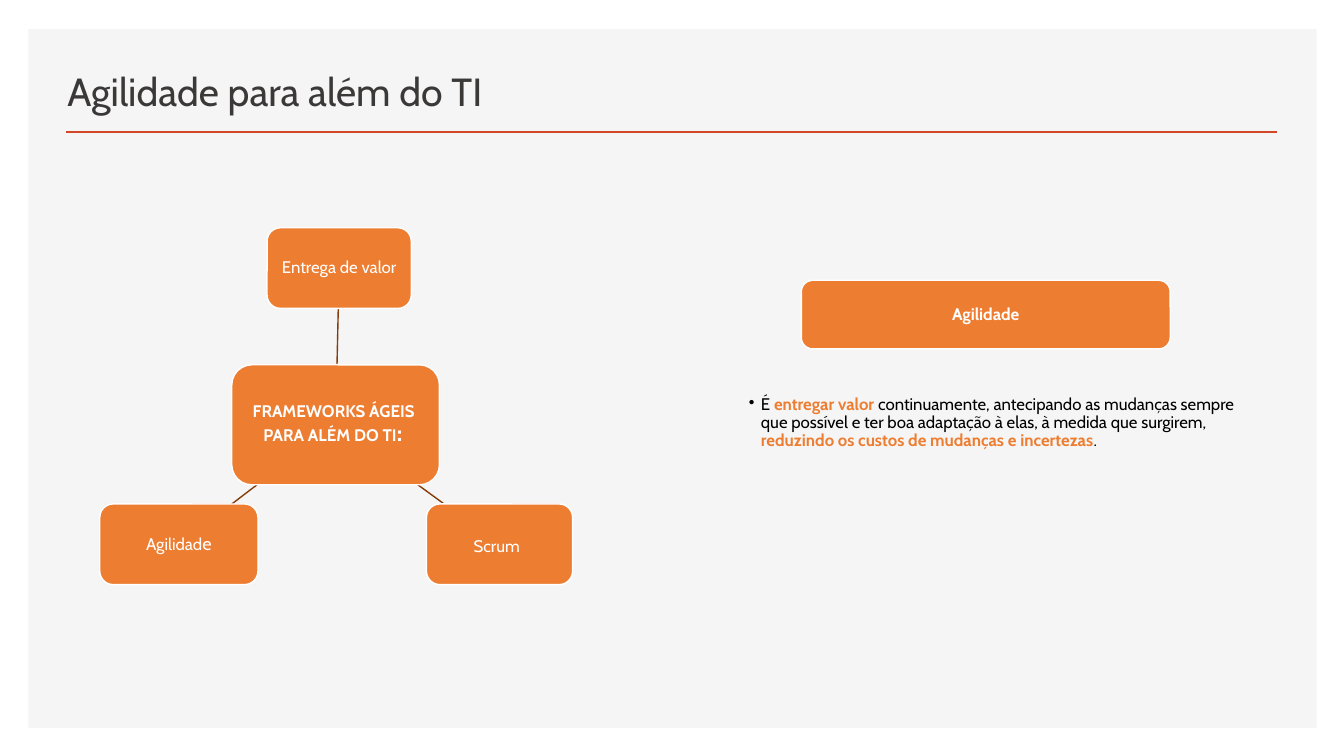
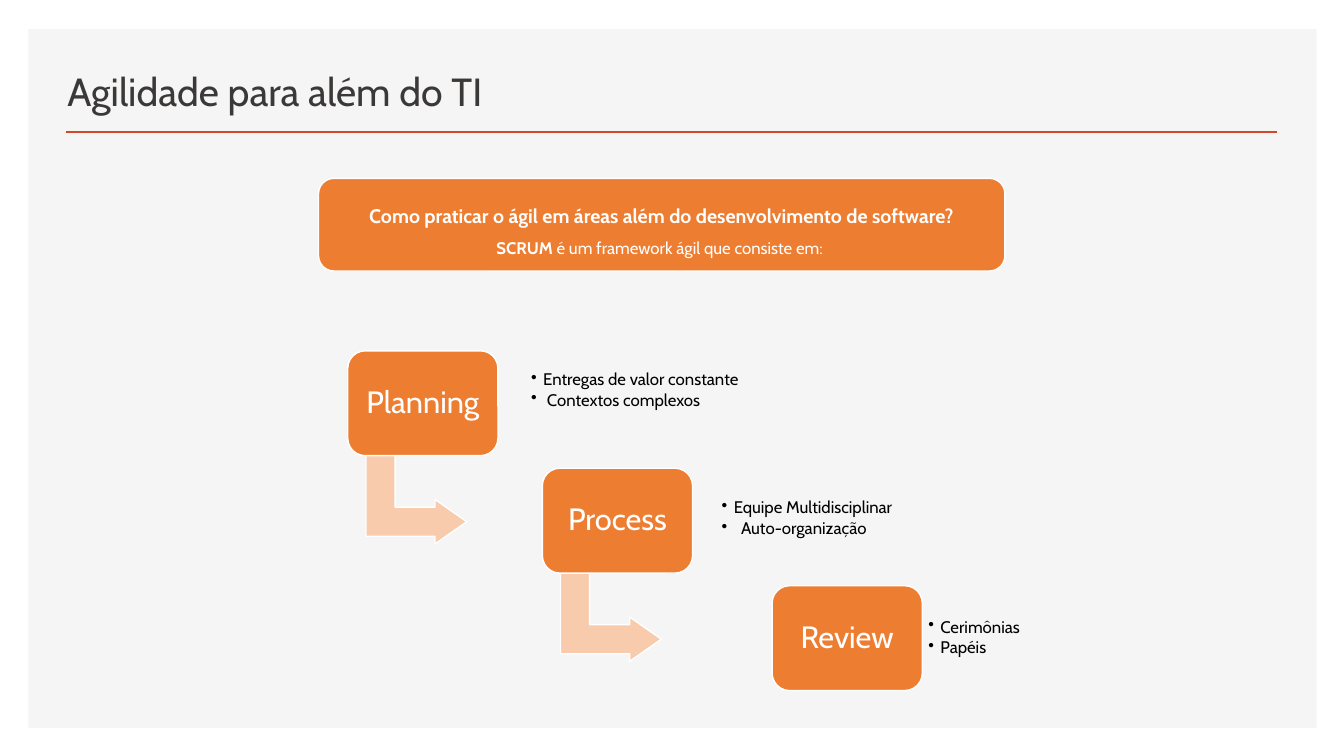
from lxml import etree
from pptx import Presentation
from pptx.dml.color import RGBColor
from pptx.enum.shapes import MSO_CONNECTOR, MSO_SHAPE
from pptx.enum.text import MSO_ANCHOR, PP_ALIGN
from pptx.oxml.ns import qn
from pptx.util import Pt

RECT, ROUNDED = MSO_SHAPE.RECTANGLE, MSO_SHAPE.ROUNDED_RECTANGLE
BENT_ARROW = MSO_SHAPE.BENT_UP_ARROW
STRAIGHT = MSO_CONNECTOR.STRAIGHT
TOP, MIDDLE, BOTTOM = MSO_ANCHOR.TOP, MSO_ANCHOR.MIDDLE, MSO_ANCHOR.BOTTOM
LEFT, CENTER = PP_ALIGN.LEFT, PP_ALIGN.CENTER

FONT = "Cabin"
WHITE, BLACK, PANEL = "FFFFFF", "000000", "F5F5F5"
ORANGE, PEACH, RULE, BROWN, TITLE = "ED7D31", "F8CBAD", "D24726", "843C0B", "3B3838"
TITLE_BOX = (41, 35.3, 541.5, 50.4)
BULLET_INDENT = 8.64


def rgb(color):
    """Turn a hex string into a colour."""
    return RGBColor.from_string(color)


def lengths(box):
    """Turn a box in points into lengths."""
    return [Pt(value) for value in box]


def style_font(font, size=None, color=None, bold=None):
    """Set the given font properties only."""
    if size:
        font.size = Pt(size)
    if color:
        font.color.rgb = rgb(color)
    if bold is not None:
        font.bold = bold


def write(paragraph, runs, size, color, bold=False, align=LEFT, spacing=0.9, after=0):
    """Fill a paragraph with (text, overrides) runs; a newline breaks the line."""
    paragraph.font.name = FONT
    style_font(paragraph.font, size, color, bold)
    paragraph.alignment = align
    paragraph.line_spacing = spacing
    paragraph.space_after = Pt(after)
    for text, overrides in runs:
        if text == "\n":
            paragraph.add_line_break()
            continue
        run = paragraph.add_run()
        run.text = text
        style_font(run.font, **overrides)


def set_frame(frame, insets, anchor):
    """Set wrapping, insets (left, top, right, bottom) and anchor."""
    frame.word_wrap = True
    frame.vertical_anchor = anchor
    (frame.margin_left, frame.margin_top,
     frame.margin_right, frame.margin_bottom) = lengths(insets)


def add_block(shapes, kind, box, fill, outline=WHITE):
    """Add a flat filled shape, outlined unless outline is None."""
    block = shapes.add_shape(kind, *lengths(box))
    block.shadow.inherit = False
    block.fill.solid()
    block.fill.fore_color.rgb = rgb(fill)
    if outline:
        block.line.color.rgb = rgb(outline)
        block.line.width = Pt(1)
    else:
        block.line.fill.background()
    return block


def add_card(slide, box, runs, size=12, bold=False, spacing=0.9, inset=2.2):
    """Add an orange rounded card with centred white text."""
    card = add_block(slide.shapes, ROUNDED, box, ORANGE)
    set_frame(card.text_frame, [inset] * 4, MIDDLE)
    write(card.text_frame.paragraphs[0], runs, size, WHITE, bold, CENTER, spacing)


def add_line(shapes, start, end, color, width):
    """Add a straight line without a shadow."""
    line = shapes.add_connector(STRAIGHT, *lengths(start + end))
    line.line.color.rgb = rgb(color)
    line.line.width = Pt(width)
    properties = line.element.find(qn("p:spPr"))
    etree.SubElement(properties, qn("a:effectLst"))
    return line


def add_bullets(slide, box, items, insets, anchor, after):
    """Add a bulleted list of (runs, extra indent) items."""
    frame = slide.shapes.add_textbox(*lengths(box)).text_frame
    set_frame(frame, insets, anchor)
    for index, (runs, extra) in enumerate(items):
        paragraph = frame.add_paragraph() if index else frame.paragraphs[0]
        write(paragraph, runs, 12, BLACK, after=after)
        properties = paragraph._p.get_or_add_pPr()
        indent = Pt(BULLET_INDENT + extra)
        properties.set("marL", str(indent))
        properties.set("indent", str(-indent))
        bullet = etree.Element(qn("a:buChar"), char="•")
        properties.find(qn("a:defRPr")).addprevious(bullet)


def prepare_layout(layout, slide):
    """Put the panel and the title rule on the layout, behind its title."""
    panel = add_block(slide.shapes, RECT, (20.2, 20.9, 920.2, 499), PANEL, None)
    rule = add_line(slide.shapes, (47.5, 94.3), (912.2, 94.3), RULE, 2)
    for position, part in enumerate((panel, rule), start=2):
        layout.shapes.element.insert(position, part.element)


def add_title(slide, text):
    """Place and format the slide title."""
    title = slide.shapes.title
    title.left, title.top, title.width, title.height = lengths(TITLE_BOX)
    set_frame(title.text_frame, (7.2, 3.6, 7.2, 3.6), BOTTOM)
    write(title.text_frame.paragraphs[0], [(text, {})], 28, TITLE)


def center_of(box):
    """Return the centre of a box."""
    left, top, width, height = box
    return left + width / 2, top + height / 2


def add_spoke(slide, hub, node):
    """Join facing edges of hub and node along the line of their centres."""
    (hub_x, hub_y), (node_x, node_y) = center_of(hub), center_of(node)
    side = 1 if node_y > hub_y else -1

    def point_at(y):
        """Return the point of the centre line at height y."""
        return round(hub_x + (node_x - hub_x) * (y - hub_y) / (node_y - hub_y), 2), y

    add_line(slide.shapes, point_at(hub_y + side * hub[3] / 2),
             point_at(node_y - side * node[3] / 2), BROWN, 1)


def frameworks_diagram(slide, left, top):
    """Draw the hub and its three themes from the given corner."""
    hub = (left + 94.3, top + 97.9, 148.3, 85.7)
    themes = [
        ((left + 119.5, top, 103, 57.6), [("Entrega de valor", {})]),
        ((left + 233.3, top + 197.3, 104.4, 57.6),
         [("Scrum", {}), (" ", {"size": 18})]),
        ((left, top + 197.3, 113, 57.6), [("Agilidad", {}), ("e", {"size": 13})]),
    ]
    for box, runs in themes:
        add_spoke(slide, hub, box)
        add_card(slide, box, runs)
    add_card(slide, hub, [("FRAMEWORKS ÁGEIS ", {}), ("\n", {}),
                          ("PARA ALÉM DO TI", {}), (": ", {"size": 17})], bold=True)


def agility_definition(slide, left, top):
    """Draw the heading card and the definition under it."""
    add_card(slide, (left + 49, top, 263.5, 49), [("Agilidade", {})], bold=True)
    accent = {"color": ORANGE, "bold": True}
    definition = [
        ("É ", {}),
        ("entregar valor ", accent),
        ("continuamente, antecipando as mudanças sempre que possível e ter boa "
         "adaptação à elas, à medida que surgirem, ", {}),
        ("reduzindo os custos de mudanças e incertezas", accent),
        (".", {}),
    ]
    add_bullets(slide, (left, top + 81.4, 372.2, 85), [(definition, 0)],
                (11.5, 1.4, 6.5, 1.4), TOP, 2.4)


def scrum_banner(slide, box):
    """Draw the question that opens the Scrum steps."""
    add_card(slide, box, [
        ("Como praticar o ágil em áreas além do desenvolvimento de software?",
         {"size": 14, "bold": True}),
        ("\n", {}),
        ("SCRUM", {"bold": True}),
        (" é um framework ágil que consiste em: ", {}),
    ], spacing=1.5, inset=4.3)


def scrum_steps(slide, top):
    """Draw the descending steps, each with its bullets and a leading arrow."""
    width, height, drop = 107.3, 74.9, 83.9
    # name, left, bullets (left, centre shift, width), (bullet, extra indent)
    steps = [
        ("Planning", 248.4, (126, -9, 340.6),
         [("Entregas de valor constante", 0), ("Contextos complexos", 2.7)]),
        ("Process", 387.4, (123.1, -1.4, 167),
         [("Equipe Multidisciplinar", 0), ("Auto-organização", 5.2)]),
        ("Review", 551.5, (106.6, 0, 77.8), [("Cerimônias", 0), ("Papéis", 0)]),
    ]
    for index, (name, left, (offset, shift, span), points) in enumerate(steps):
        step_top = top + index * drop
        if index < len(steps) - 1:
            arrow = add_block(slide.shapes, BENT_ARROW,
                              (left + 17.3, step_top + 70.2, 63.4, 72), PEACH)
            arrow.rotation = 90
            for slot, value in enumerate((0.328, 0.25, 0.358)):
                arrow.adjustments[slot] = value
        add_card(slide, (left, step_top, width, height), [(name, {})], 22)
        add_bullets(slide, (left + offset, step_top + shift + 7.2, span, height - 14.4),
                    [([(text, {})], extra) for text, extra in points],
                    [5] * 4, MIDDLE, 1.8)


def main():
    """Build both slides and save the file."""
    deck = Presentation()
    deck.slide_width, deck.slide_height = Pt(960), Pt(540)
    layout = deck.slide_layouts.get_by_name("Title Only")
    frameworks, scrum = [deck.slides.add_slide(layout) for _ in range(2)]
    prepare_layout(layout, frameworks)
    for slide in (frameworks, scrum):
        add_title(slide, "Agilidade para além do TI")
    frameworks_diagram(frameworks, 71.3, 162.7)
    agility_definition(frameworks, 523.4, 200.2)
    scrum_steps(scrum, 250.6)
    scrum_banner(scrum, (227.5, 127.4, 490.3, 66.2))
    deck.save("out.pptx")


main()
